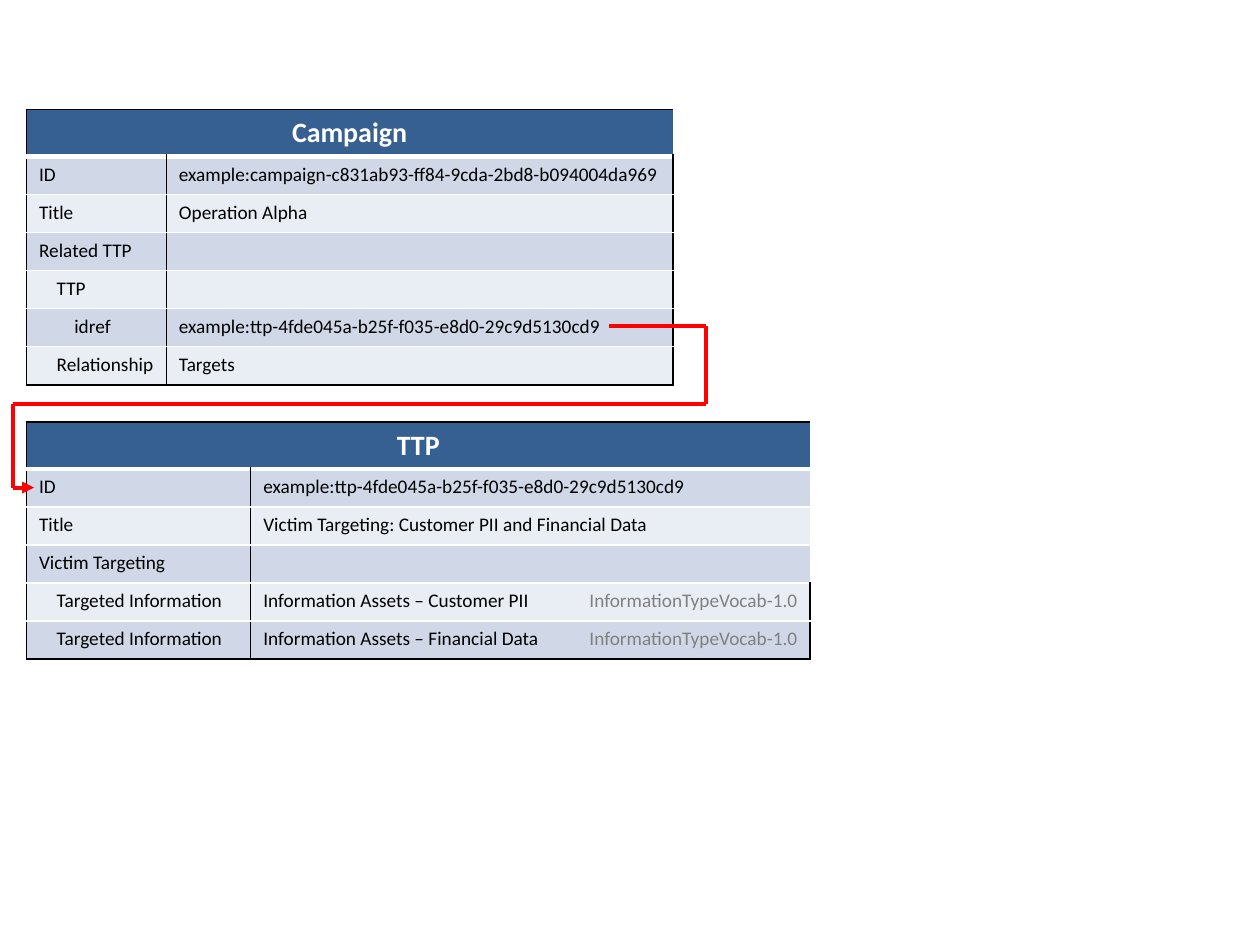
"""Build a slide linking a Campaign table to the TTP table it references."""
from lxml import etree
from pptx import Presentation
from pptx.dml.color import RGBColor
from pptx.enum.shapes import MSO_CONNECTOR
from pptx.enum.text import PP_ALIGN
from pptx.oxml.ns import qn
from pptx.util import Inches, Pt

LEFT, CENTER, RIGHT = PP_ALIGN.LEFT, PP_ALIGN.CENTER, PP_ALIGN.RIGHT
STRAIGHT = MSO_CONNECTOR.STRAIGHT
COLORS = {
    "header": "376092", "odd": "D0D8E8", "even": "E9EDF4", "white": "FFFFFF",
    "black": "000000", "gray": "808080", "red": "FF0000",
}
HEADER_H, ROW_H, INDENT = 0.37, 0.302, 0.14
TTP_ID = "example:ttp-4fde045a-b25f-f035-e8d0-29c9d5130cd9"
VOCAB = "InformationTypeVocab-1.0"

TABLES = [
    (0.87, [1.11, 4.02], [
        (0, "Campaign"),
        (0, "ID", "example:campaign-c831ab93-ff84-9cda-2bd8-b094004da969"),
        (0, "Title", "Operation Alpha"),
        (0, "Related TTP", ""),
        (1, "TTP", ""),
        (2, "idref", TTP_ID),
        (1, "Relationship", "Targets"),
    ]),
    (3.35, [1.78, 2.39, 2.05], [
        (0, "TTP"),
        (0, "ID", TTP_ID),
        (0, "Title", "Victim Targeting: Customer PII and Financial Data"),
        (0, "Victim Targeting", ""),
        (1, "Targeted Information", "Information Assets – Customer PII", VOCAB),
        (1, "Targeted Information", "Information Assets – Financial Data", VOCAB),
    ]),
]
LINKS = [
    (0.1, 3.21, 5.6, 3.21), (4.83, 2.59, 5.6, 2.59), (5.6, 3.21, 5.6, 2.59),
    (0.1, 3.21, 0.1, 3.87), (0.1, 3.87, 0.27, 3.87),
]


def write(cell, text, size=11, color="black", bold=False, align=LEFT, level=0):
    p = cell.text_frame.paragraphs[0]
    p.alignment = align
    if level:
        p._p.get_or_add_pPr().set("marL", str(Inches(INDENT * level)))
    if text:
        r = p.add_run()
        r.text = text
        r.font.name = "Calibri"
        r.font.size = Pt(size)
        r.font.bold = bold
        r.font.color.rgb = RGBColor.from_string(COLORS[color])
    etree.SubElement(p._p, qn("a:endParaRPr"), sz=str(size * 100))


def set_borders(cell, **sides):
    tcPr = cell._tc.get_or_add_tcPr()
    for i, (side, border) in enumerate(sides.items()):
        ln = etree.Element(qn(f"a:ln{side}"))
        if border:
            color, width = border
            ln.set("w", str(Pt(width)))
            fill = etree.SubElement(ln, qn("a:solidFill"))
            etree.SubElement(fill, qn("a:srgbClr"), val=COLORS[color])
        else:
            etree.SubElement(ln, qn("a:noFill"))
        tcPr.insert(i, ln)


prs = Presentation()
prs.slide_width, prs.slide_height = Inches(10), Inches(7.5)
s = prs.slides.add_slide(prs.slide_layouts[6])

black, white, thick = ("black", 1), ("white", 1), ("white", 3)
for top, widths, rows in TABLES:
    last_row, last_col = len(rows) - 1, len(widths) - 1
    height = HEADER_H + ROW_H * last_row
    tbl = s.shapes.add_table(len(rows), len(widths), Inches(0.21), Inches(top),
                             Inches(sum(widths)), Inches(height)).table
    tbl.horz_banding = False
    for col, width in zip(tbl.columns, widths):
        col.width = Inches(width)
    for i, (level, *texts) in enumerate(rows):
        tbl.rows[i].height = Inches(ROW_H if i else HEADER_H)
        fill = "header" if i == 0 else "odd" if i % 2 else "even"
        for j in range(last_col + 1):
            cell = tbl.cell(i, j)
            cell.fill.solid()
            cell.fill.fore_color.rgb = RGBColor.from_string(COLORS[fill])
            set_borders(
                cell,
                L=black if j == 0 or (j == 1 and i) else None,
                R=black if j == last_col or (j == 0 and i) else None,
                T=black if i == 0 else thick if i == 1 else white,
                B=thick if i == 0 else black if i == last_row else white)
            text = texts[j] if j < len(texts) else ""
            if i == 0:
                write(cell, text, size=16, color="white", bold=True, align=CENTER)
            elif j == 2:
                write(cell, text, color="gray", align=RIGHT)
            else:
                write(cell, text, level=0 if j else level)
        if len(texts) <= last_col:
            tbl.cell(i, len(texts) - 1).merge(tbl.cell(i, last_col))

for points in LINKS:
    link = s.shapes.add_connector(STRAIGHT, *map(Inches, points))
    link.line.color.rgb = RGBColor.from_string(COLORS["red"])
    link.line.width = Pt(2.25)
    etree.SubElement(link._element.spPr, qn("a:effectLst"))
etree.SubElement(link.line._get_or_add_ln(), qn("a:tailEnd"), type="triangle")

prs.save("out.pptx")
